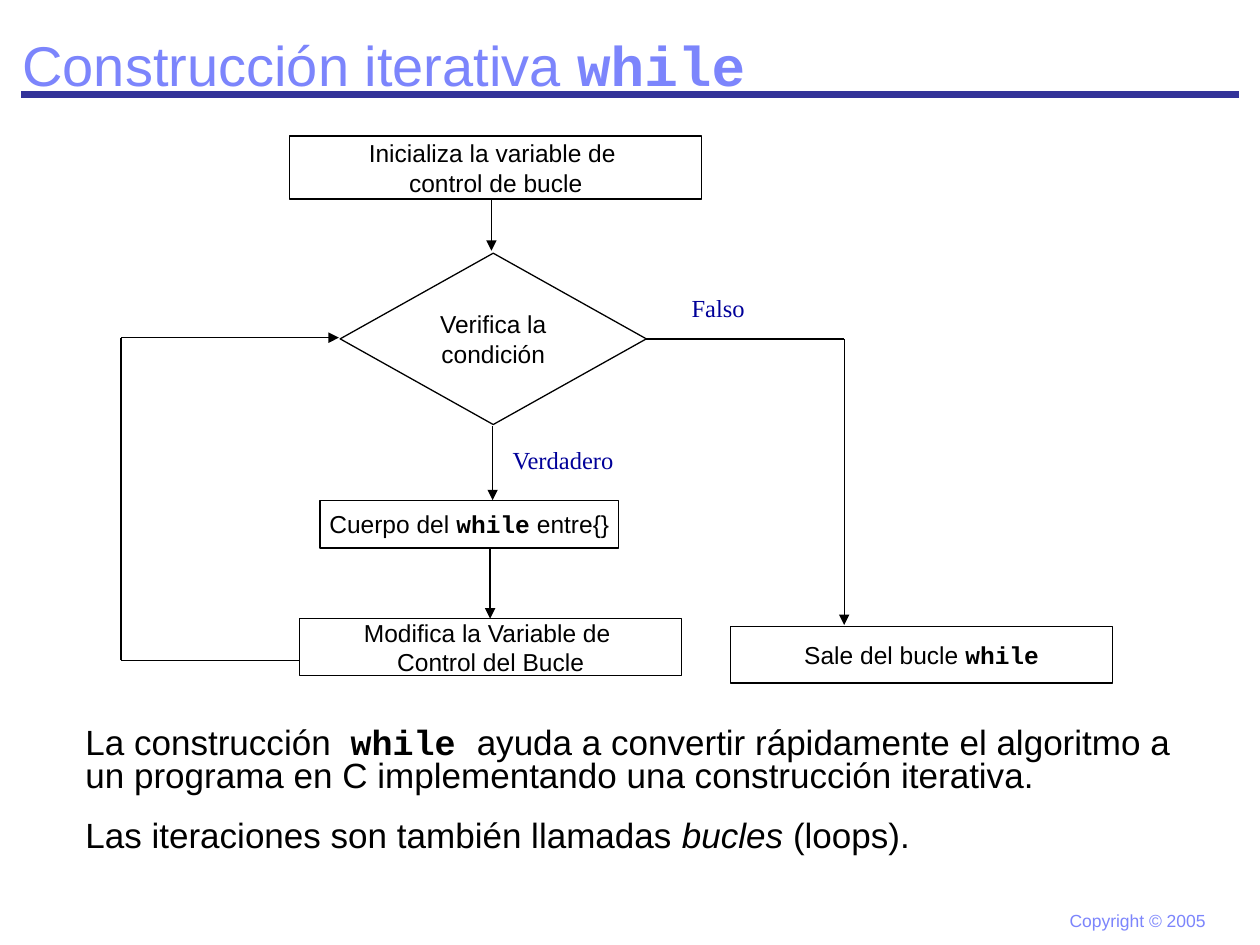
import pptx
import pptx.util
import pptx.dml.color
import pptx.enum.shapes
import pptx.enum.text
import lxml.etree
from pptx.util import Inches

COLORS = {"ink": "000000", "paper": "FFFFFF", "title": "7C85FC",
          "rule": "333399", "label": "000099"}
SHAPES = pptx.enum.shapes.MSO_SHAPE
ALIGN = pptx.enum.text.PP_ALIGN
ANCHOR = pptx.enum.text.MSO_ANCHOR


def rgb(name):
    """Return the named colour."""
    return pptx.dml.color.RGBColor.from_string(COLORS[name])


def write(tf, paragraphs, size=14, font="Arial", color="ink", align=ALIGN.LEFT,
          anchor=ANCHOR.TOP, wrap=False, line_spacing=None, before=0):
    """Fill a text frame; a run is plain text or a (text, style) pair."""
    tf.word_wrap = wrap
    tf.vertical_anchor = anchor
    for i, runs in enumerate(paragraphs):
        p = tf.add_paragraph() if i else tf.paragraphs[0]
        p.alignment = align
        p.line_spacing = line_spacing
        p.space_before = pptx.util.Pt(before)
        for run in runs:
            text, style = (run, "") if isinstance(run, str) else run
            r = p.add_run()
            r.text = text
            r.font.size = pptx.util.Pt(size)
            r.font.name = "Courier New" if style == "code" else font
            r.font.bold = style == "code"
            r.font.italic = style == "italic"
            r.font.color.rgb = rgb(color)


class Flowchart:
    """Draws the elements of a flowchart on one slide."""

    def __init__(self, slide, line_width=0.75):
        """Keep the slide and the common line width."""
        self.shapes = slide.shapes
        self.line_width = line_width

    def text(self, x, y, w, h, paragraphs, **fmt):
        """Add a text box."""
        sp = self.shapes.add_textbox(Inches(x), Inches(y), Inches(w), Inches(h))
        write(sp.text_frame, paragraphs, **fmt)

    def node(self, x, y, w, h, paragraphs, kind=SHAPES.RECTANGLE):
        """Add an outlined step with centred text."""
        sp = self.shapes.add_shape(kind, Inches(x), Inches(y), Inches(w), Inches(h))
        sp.shadow.inherit = False
        sp.fill.solid()
        sp.fill.fore_color.rgb = rgb("paper")
        sp.line.color.rgb = rgb("ink")
        sp.line.width = pptx.util.Pt(self.line_width)
        write(sp.text_frame, paragraphs, align=ALIGN.CENTER, anchor=ANCHOR.MIDDLE)

    def line(self, x1, y1, x2, y2, arrow=False, color="ink", width=None):
        """Add a straight line, with an arrowhead at its end if asked."""
        cx = self.shapes.add_connector(
            pptx.enum.shapes.MSO_CONNECTOR.STRAIGHT,
            Inches(x1), Inches(y1), Inches(x2), Inches(y2))
        cx.line.color.rgb = rgb(color)
        cx.line.width = pptx.util.Pt(width or self.line_width)
        props = cx._element.spPr
        if arrow:
            ln = props.find(pptx.oxml.ns.qn("a:ln"))
            lxml.etree.SubElement(ln, pptx.oxml.ns.qn("a:tailEnd"), type="triangle")
        lxml.etree.SubElement(props, pptx.oxml.ns.qn("a:effectLst"))

    def route(self, *points):
        """Join points with lines, ending in an arrow."""
        for i, (start, end) in enumerate(zip(points, points[1:]), 2):
            self.line(*start, *end, arrow=i == len(points))


prs = pptx.Presentation()
prs.slide_width, prs.slide_height = Inches(10), Inches(7.5)
s = prs.slides.add_slide(prs.slide_layouts[6])
chart = Flowchart(s)
loop_word = ("while", "code")

chart.line(0.17, 0.75, 9.83, 0.75, color="rule", width=4.5)
chart.text(8.39, 7.17, 1.28, 0.27, [["Copyright © 2005"]], size=10, color="title")
chart.text(0.08, 0.17, 9.67, 0.67, [["Construcción iterativa ", loop_word]],
           size=32, color="title", anchor=ANCHOR.MIDDLE, wrap=True)

chart.node(2.3, 1.08, 3.27, 0.5,
           [["Inicializa la variable de "], ["control de bucle"]])
chart.node(2.7, 2.01, 2.43, 1.36, [["Verifica la"], ["condición"]],
           kind=SHAPES.FLOWCHART_DECISION)
chart.node(2.54, 3.97, 2.37, 0.38, [["Cuerpo del ", loop_word, " entre{}"]])
chart.node(2.38, 4.91, 3.03, 0.45,
           [["Modifica la Variable de "], ["Control del Bucle"]])
chart.node(5.8, 4.97, 3.03, 0.45, [["Sale del bucle ", loop_word]])

chart.route((3.9, 1.59), (3.9, 1.99))
chart.route((3.91, 3.38), (3.91, 3.97))
chart.route((3.89, 4.35), (3.89, 4.91))
chart.route((2.38, 5.24), (0.96, 5.24), (0.96, 2.68), (2.69, 2.68))
chart.route((5.12, 2.69), (6.7, 2.69), (6.7, 4.96))

for label, x, y, w in (("Verdadero", 3.97, 3.48, 1.02), ("Falso", 5.39, 2.28, 0.62)):
    chart.text(x, y, w, 0.34, [[label]], font="Times New Roman", color="label")

chart.text(0.58, 5.73, 8.83, 1.11, [
    ["La construcción  ", ("while ", "code"),
     "ayuda a convertir rápidamente el algoritmo a un programa en C "
     "implementando una construcción iterativa. "],
    ["Las iteraciones son también llamadas ", ("bucles", "italic"), " (loops)."],
], size=20, wrap=True, line_spacing=0.8, before=15)

prs.save("out.pptx")
